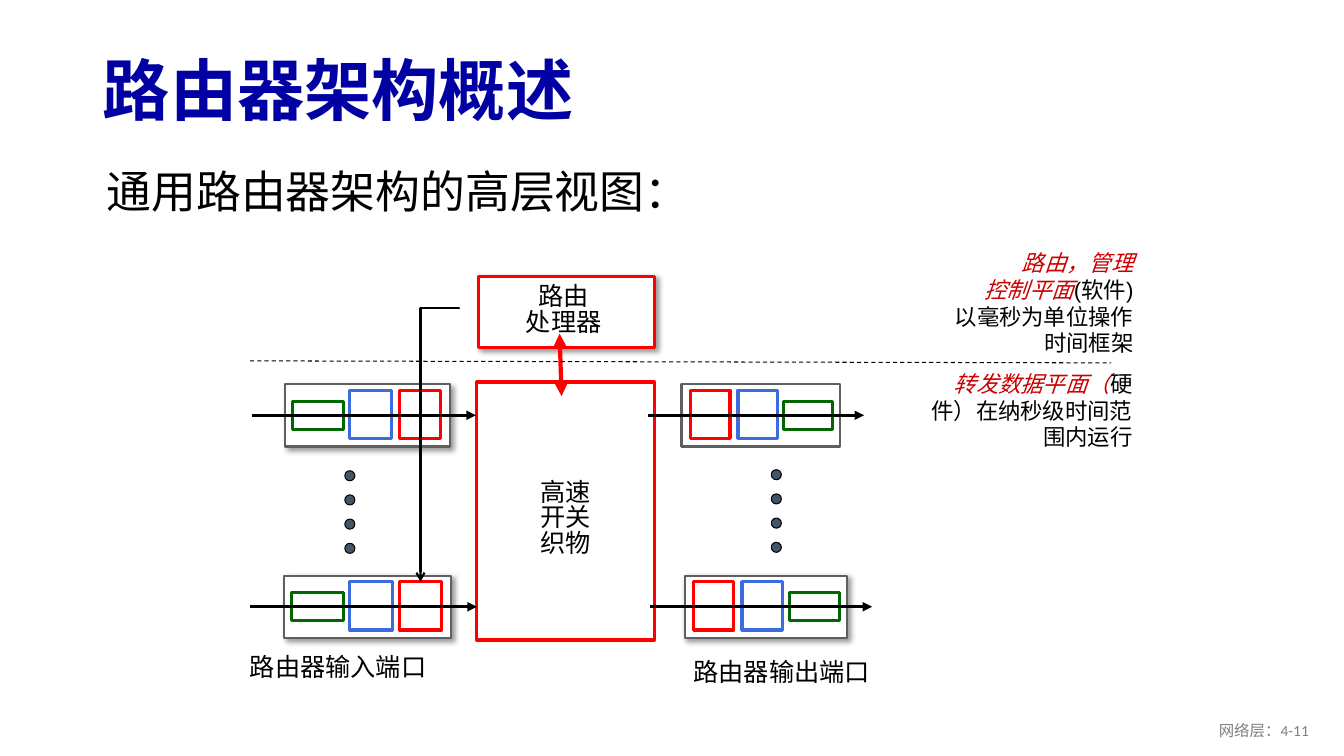
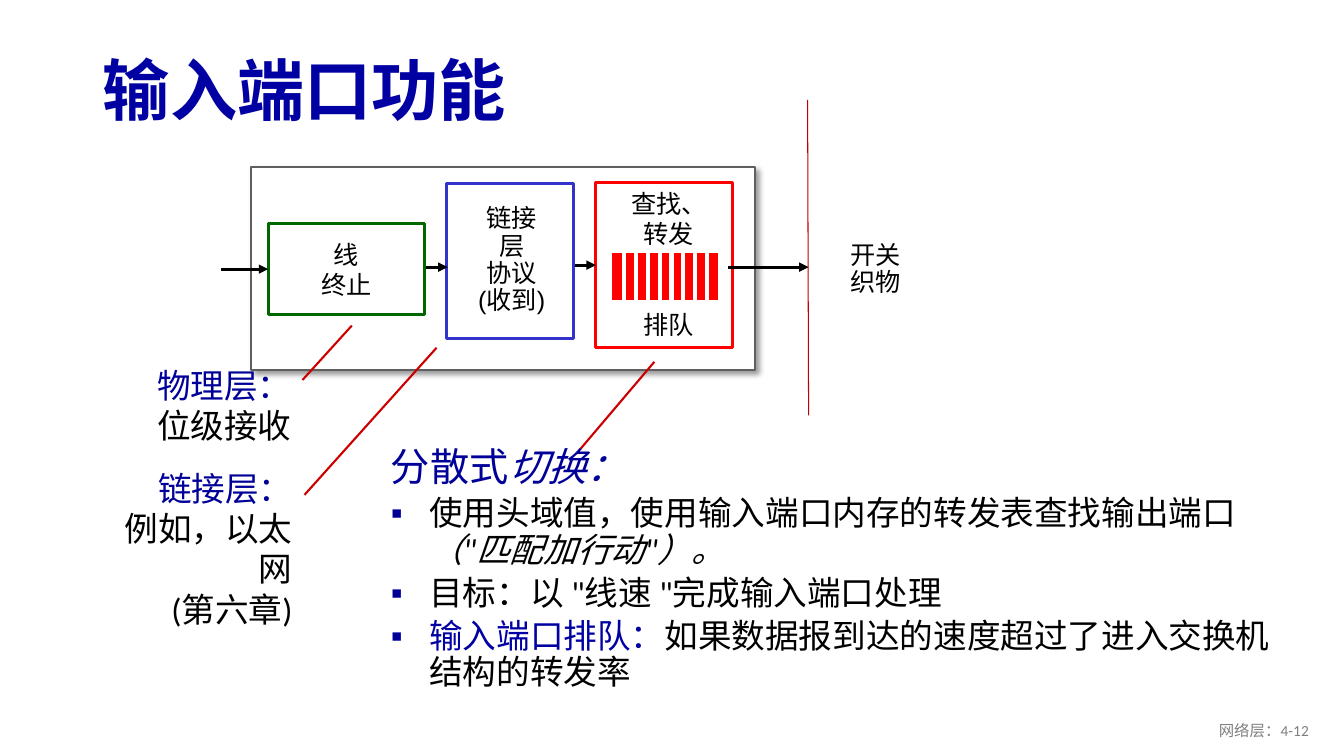
import dataclasses

import lxml.etree
import pptx
import pptx.dml.color
import pptx.enum.dml
import pptx.enum.shapes
import pptx.enum.text
import pptx.oxml.ns
import pptx.util

PX = 9144
ALIGN = pptx.enum.text.PP_ALIGN
ANCHOR = pptx.enum.text.MSO_ANCHOR
SHAPE = pptx.enum.shapes.MSO_SHAPE
CONNECTOR = pptx.enum.shapes.MSO_CONNECTOR
qn = pptx.oxml.ns.qn


@dataclasses.dataclass(frozen=True)
class Theme:
    white: str = "FFFFFF"
    black: str = "000000"
    title: str = "0000A3"
    heading: str = "000099"
    accent: str = "CC0000"
    divider: str = "C00000"
    red: str = "FF0000"
    green: str = "006600"
    blue: str = "3C6CDF"
    indigo: str = "3333CC"
    frame: str = "5F5F5F"
    dot: str = "44546A"
    muted: str = "808080"
    sans: str = "Arial"
    body: str = "Calibri"
    title_size: int = 48
    lead_size: int = 32
    heading_size: int = 28
    body_size: int = 24
    label_size: int = 18
    note_size: int = 16
    footer_size: int = 11
    thin: float = 0.75
    medium: float = 1.5
    thick: float = 2.25
    heavy: float = 3


T = Theme()


def px(value):
    return round(value * PX)


def rgb(value):
    return pptx.dml.color.RGBColor.from_string(value)


def apply_format(target, values):
    for name, value in values.items():
        setattr(target, name, value)


def style(size, color=T.black, name=T.sans, **extra):
    return {"size": pptx.util.Pt(size), "name": name, "color": color, **extra}


LABEL = style(T.label_size)
BODY = style(T.body_size, name=T.body)
BODY_HEADING = style(T.body_size, T.heading, T.body)


def add_element(parent, tag, **attributes):
    return lxml.etree.SubElement(parent, qn(tag), attributes)


def add_bullet(paragraph):
    props = paragraph._p.get_or_add_pPr()
    apply_props = {"marL": px(38), "indent": px(-38)}
    for name, value in apply_props.items():
        props.set(name, str(value))
    add_element(add_element(props, "a:buClr"), "a:srgbClr", val=T.heading)
    add_element(props, "a:buFont", typeface=T.sans)
    add_element(props, "a:buChar", char="▪")


def write(frame, lines, align=ALIGN.LEFT, spacing=1.0, anchor=ANCHOR.TOP,
          gaps=None, bullets=()):
    apply_format(frame, {"word_wrap": True, "vertical_anchor": anchor})
    gaps = gaps or {}
    for index, runs in enumerate(lines):
        paragraph = frame.paragraphs[0] if index == 0 else frame.add_paragraph()
        if index in bullets:
            add_bullet(paragraph)
        apply_format(paragraph, {"alignment": align, "line_spacing": spacing})
        if index in gaps:
            paragraph.space_before = pptx.util.Pt(gaps[index])
        for text, look in runs:
            run = paragraph.add_run()
            run.text = text
            apply_format(run.font, {k: v for k, v in look.items() if k != "color"})
            run.font.color.rgb = rgb(look["color"])


def plain(look, *texts):
    return [[(text, look)] for text in texts]


def add_text(slide, box, lines, **options):
    text = slide.shapes.add_textbox(*map(px, box))
    write(text.text_frame, lines, **options)


def add_box(slide, box, line=None, fill=T.white, weight=T.thick, shadow=False,
            kind=SHAPE.RECTANGLE):
    shape = slide.shapes.add_shape(kind, *map(px, box))
    shape.shadow.inherit = False
    if fill:
        shape.fill.solid()
        shape.fill.fore_color.rgb = rgb(fill)
    else:
        shape.fill.background()
    if line:
        shape.line.color.rgb = rgb(line)
        shape.line.width = pptx.util.Pt(weight)
    else:
        shape.line.fill.background()
    if shadow:
        effects = shape._element.spPr.find(qn("a:effectLst"))
        cast = add_element(effects, "a:outerShdw", blurRad="50800", dist="38100",
                           dir="2700000", algn="tl", rotWithShape="0")
        color = add_element(cast, "a:srgbClr", val=T.black)
        add_element(color, "a:alpha", val="40000")
    return shape


def add_line(slide, start, end, color=T.black, weight=T.thick, head=None,
             tail=None, dash=None, kind=CONNECTOR.STRAIGHT):
    line = slide.shapes.add_connector(kind, *map(px, (*start, *end)))
    line.line.color.rgb = rgb(color)
    line.line.width = pptx.util.Pt(weight)
    if dash:
        line.line.dash_style = dash
    outline = line.line._get_or_add_ln()
    for tag, arrow in (("a:headEnd", head), ("a:tailEnd", tail)):
        if arrow:
            add_element(outline, tag, type=arrow)
    add_element(line._element.spPr, "a:effectLst")
    return line


def add_arrow(slide, start, end):
    return add_line(slide, start, end, tail="triangle")


def add_corner_arrow(slide, start, end):
    reach, drop = start[0] - end[0], end[1] - start[1]
    left = (start[0] + end[0] - drop) / 2
    top = (start[1] + end[1] - reach) / 2
    arrow = add_line(slide, (left, top), (left + drop, top + reach),
                     weight=T.medium, tail="arrow", kind=CONNECTOR.ELBOW)
    props = arrow._element.spPr
    props.find(qn("a:xfrm")).set("rot", "5400000")
    geometry = props.find(qn("a:prstGeom"))
    adjusts = geometry.find(qn("a:avLst"))
    if adjusts is None:
        adjusts = add_element(geometry, "a:avLst")
    add_element(adjusts, "a:gd", name="adj1", fmla="val -100")


def add_port(slide, left, top, width, wire, mirrored=False, shadow=True):
    add_box(slide, (left, top, width, 62), T.frame, weight=T.medium, shadow=shadow)
    scale = width / 163
    stages = ((7, 17, 51, 28, T.green), (64, 6, 41, 48, T.blue),
              (113, 6, 41, 48, T.red))
    for offset, drop, stage_width, height, color in stages:
        if mirrored:
            offset = 163 - offset - stage_width
        add_box(slide, (left + round(offset * scale), top + drop,
                        round(stage_width * scale), height), color)
    add_arrow(slide, (wire[0], top + 31), (wire[1], top + 31))


def add_dots(slide, left, top):
    for row in range(4):
        add_box(slide, (left, top + 24 * row, 10, 10), T.black, T.dot, T.thin,
                kind=SHAPE.OVAL)


def start_slide(deck, title, number):
    slide = deck.slides.add_slide(deck.slide_layouts[5])
    heading = slide.shapes.title
    apply_format(heading, dict(zip(("left", "top", "width", "height"),
                                   map(px, (92, 44, 1150, 98)))))
    write(heading.text_frame,
          plain(style(T.title_size, T.title, T.body, bold=True), title),
          spacing=0.9, anchor=ANCHOR.MIDDLE)
    add_text(slide, (1008, 705, 300, 40),
             plain(style(T.footer_size, T.muted, T.body), f"网络层：{number}"),
             align=ALIGN.RIGHT, anchor=ANCHOR.MIDDLE)
    return slide


def build_architecture(deck):
    slide = start_slide(deck, "路由器架构概述", "4-11")
    add_text(slide, (96, 158, 1180, 64),
             plain(style(T.lead_size), "通用路由器架构的高层视图："))
    centred = {"align": ALIGN.CENTER, "spacing": 0.85}
    add_box(slide, (473, 379, 176, 256), T.red)
    add_text(slide, (485, 472, 152, 87), plain(LABEL, "高速", "开关", "织物"), **centred)
    add_box(slide, (475, 274, 174, 71), T.red, shadow=True)
    add_text(slide, (494, 278, 130, 61), plain(LABEL, "路由", "处理器"), **centred)
    add_line(slide, (555, 331), (557, 393), T.red, T.heavy, "triangle", "triangle")

    add_port(slide, 283, 381, 163, (250, 472))
    add_port(slide, 282, 571, 165, (248, 473))
    add_port(slide, 676, 381, 157, (643, 857), mirrored=True, shadow=False)
    add_port(slide, 679, 571, 161, (645, 865), mirrored=True)
    add_dots(slide, 342, 467)
    add_dots(slide, 765, 466)
    add_text(slide, (238, 641, 209, 40), plain(LABEL, "路由器输入端口"))
    add_text(slide, (678, 646, 224, 40), plain(LABEL, "路由器输出端口"))

    add_line(slide, (248, 358), (1102, 360), weight=T.thin,
             dash=pptx.enum.dml.MSO_LINE.DASH)
    note = style(T.note_size)
    emphasis = style(T.note_size, T.accent, italic=True)
    add_text(slide, (894, 362, 239, 118),
             [[("转发数据平面（", emphasis), ("硬件）在纳秒级时间范围内运行", note)]],
             align=ALIGN.RIGHT)
    add_text(slide, (819, 242, 315, 118),
             [[("路由，管理", emphasis)],
              [("控制平面", emphasis), ("(软件)", note)],
              *plain(note, "以毫秒为单位操作", "时间框架")],
             align=ALIGN.RIGHT)
    add_corner_arrow(slide, (455, 306), (417, 577))


def add_queue(slide, left, top):
    add_box(slide, (left, top, 109, 51), T.white, T.red, T.heavy)
    for slot in range(8):
        x = left + 14 + 11.75 * slot
        add_line(slide, (x, top + 1), (x, top + 50), T.white, T.heavy)


def build_input_port(deck):
    slide = start_slide(deck, "输入端口功能", "4-12")
    centred = {"align": ALIGN.CENTER, "anchor": ANCHOR.MIDDLE}
    add_box(slide, (249, 166, 500, 201), T.frame, weight=T.medium, shadow=True)
    add_line(slide, (801, 99), (802, 412), T.divider, T.thin)
    fabric = add_box(slide, (811, 222, 115, 91))
    write(fabric.text_frame, plain(LABEL, "开关", "织物"), spacing=0.9, **centred)

    termination = add_box(slide, (266, 222, 155, 90), T.green)
    write(termination.text_frame, plain(LABEL, "线", "终止"), **centred)
    add_arrow(slide, (219, 267), (266, 267)).end_connect(termination, 1)
    add_text(slide, (28, 357, 271, 91),
             plain(BODY_HEADING, "物理层：") + plain(BODY, "位级接收"),
             align=ALIGN.RIGHT)

    add_text(slide, (450, 213, 115, 91), plain(LABEL, "链接", "层", "协议", "(收到)"),
             spacing=0.9, **centred)
    add_box(slide, (443, 182, 126, 154), T.indigo, fill=None)
    add_arrow(slide, (423, 265), (444, 265))
    add_text(slide, (95, 459, 205, 131),
             plain(BODY_HEADING, "链接层：") + plain(BODY, "例如，以太网", "(第六章)"),
             align=ALIGN.RIGHT)

    add_text(slide, (595, 182, 137, 160), plain(LABEL, "查找、", "转发", "排队"),
             align=ALIGN.CENTER, gaps={2: 43})
    add_queue(slide, 605, 249)
    lookup = add_box(slide, (591, 181, 136, 164), T.red, fill=None)
    add_arrow(slide, (570, 263), (591, 263)).end_connect(lookup, 1)
    add_arrow(slide, (722, 265), (802, 265))

    add_text(slide, (378, 439, 896, 292), [
        [("分散式", style(T.heading_size, T.heading, T.body)),
         ("切换：", style(T.heading_size, T.heading, T.body, italic=True))],
        [("使用头域值，使用输入端口内存的转发表查找输出端口", BODY),
         ("（\"匹配加行动\"）。", {**BODY, "italic": True})],
        [("目标：以 \"线速 \"完成输入端口处理", BODY)],
        [("输入端口排队：", {**BODY, "color": T.title}),
         ("如果数据报到达的速度超过了进入交换机结构的转发率", BODY)],
    ], spacing=0.9, gaps={1: 5, 2: 5, 3: 5}, bullets=(1, 2, 3))
    for start, end in (((300, 377), (349, 323)), ((302, 491), (433, 345)),
                       ((576, 445), (649, 359))):
        add_line(slide, start, end, T.accent, T.medium)


def main():
    deck = pptx.Presentation()
    apply_format(deck, {"slide_width": px(1333), "slide_height": px(750)})
    build_architecture(deck)
    build_input_port(deck)
    deck.save("out.pptx")


if __name__ == "__main__":
    main()
